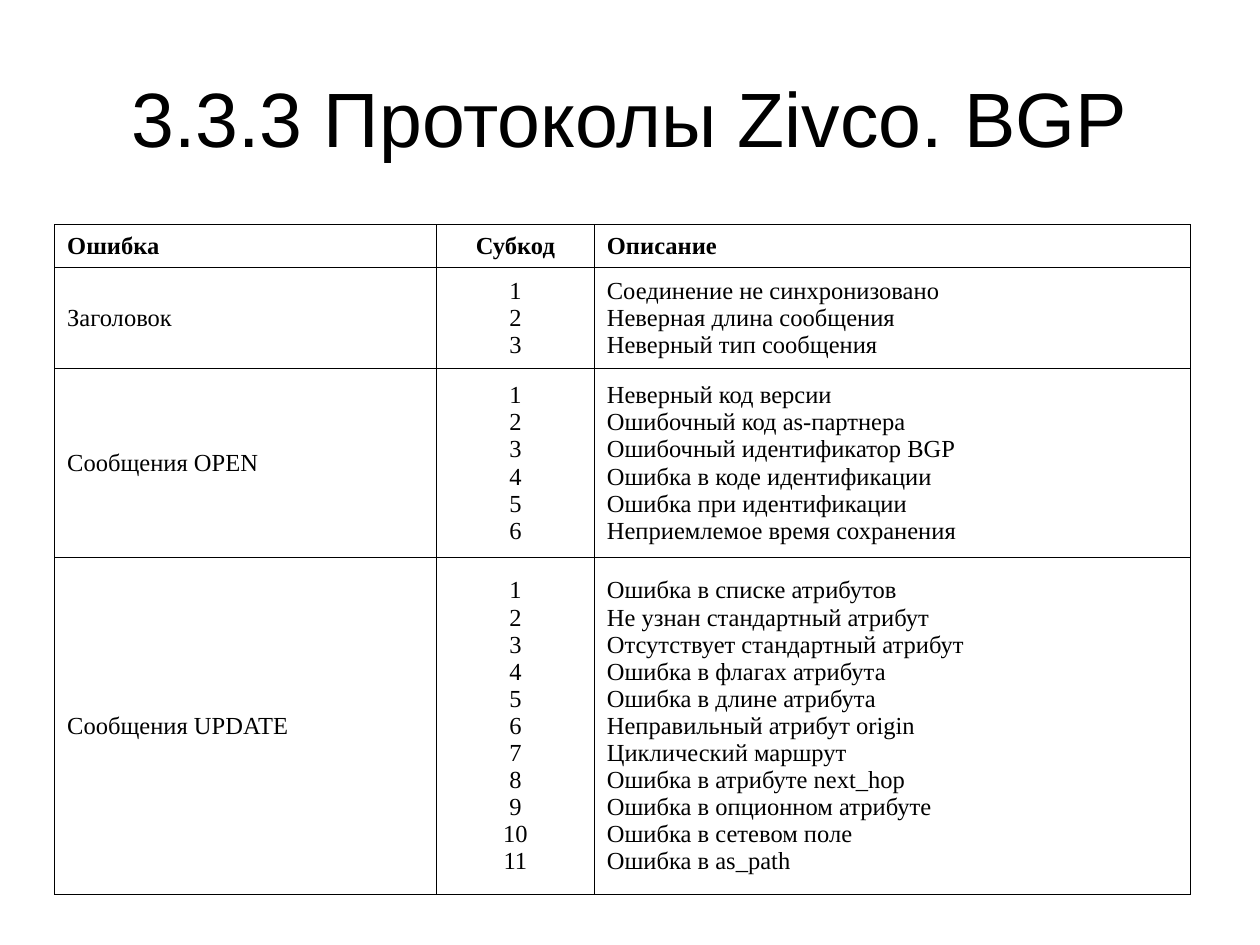
from dataclasses import dataclass

from lxml.etree import SubElement
from pptx import Presentation
from pptx.dml.color import RGBColor
from pptx.enum.text import MSO_ANCHOR as Anchor, PP_ALIGN as Align
from pptx.oxml.ns import qn
from pptx.util import Cm, Pt

INK = "000000"
HANGING = Cm(0.95)
COL_WIDTHS = (7.7, 3.18, 12.01)
COL_ALIGNS = (Align.LEFT, Align.CENTER, Align.LEFT)
TITLE_FONT = {"name": "Arial", "size": Pt(44), "bold": False}
BODY_FONT = {"name": "Times New Roman", "size": Pt(14), "bold": False}
HEAD_FONT = BODY_FONT | {"bold": True}


@dataclass
class ErrorGroup:
    name: str
    height: float
    descriptions: list[str]

    def columns(self) -> list[list[str]]:
        subcodes = [str(n) for n in range(1, len(self.descriptions) + 1)]
        return [[self.name], subcodes, self.descriptions]


HEADINGS = [["Ошибка"], ["Субкод"], ["Описание"]]
HEAD_HEIGHT = 0.86
GROUPS = [
    ErrorGroup("Заголовок", 2.04, [
        "Соединение не синхронизовано",
        "Неверная длина сообщения",
        "Неверный тип сообщения",
    ]),
    ErrorGroup("Сообщения OPEN", 3.81, [
        "Неверный код версии",
        "Ошибочный код as-партнера",
        "Ошибочный идентификатор BGP",
        "Ошибка в коде идентификации",
        "Ошибка при идентификации",
        "Неприемлемое время сохранения",
    ]),
    ErrorGroup("Сообщения UPDATE", 6.79, [
        "Ошибка в списке атрибутов",
        "Не узнан стандартный атрибут",
        "Отсутствует стандартный атрибут",
        "Ошибка в флагах атрибута",
        "Ошибка в длине атрибута",
        "Неправильный атрибут origin",
        "Циклический маршрут",
        "Ошибка в атрибуте next_hop",
        "Ошибка в опционном атрибуте",
        "Ошибка в сетевом поле",
        "Ошибка в as_path",
    ]),
]


def rgb(value: str) -> RGBColor:
    return RGBColor.from_string(value)


def write_lines(tf, lines: list[str], align, font: dict) -> None:
    """One paragraph for each line."""
    for i, line in enumerate(lines):
        p = tf.paragraphs[0] if i == 0 else tf.add_paragraph()
        p.alignment = align
        r = p.add_run()
        r.text = line
        for key, value in font.items():
            setattr(r.font, key, value)
        r.font.color.rgb = rgb(INK)


def add_borders(cell, color: str, width: float) -> None:
    tc_pr = cell._tc.get_or_add_tcPr()
    for side in ("lnL", "lnR", "lnT", "lnB"):
        ln = SubElement(tc_pr, qn(f"a:{side}"), w=str(Pt(width)))
        fill = SubElement(ln, qn("a:solidFill"))
        SubElement(fill, qn("a:srgbClr"), val=color)


def fill_row(table, row: int, height: float, columns: list[list[str]], font: dict) -> None:
    table.rows[row].height = Cm(height)
    for col, (lines, align) in enumerate(zip(columns, COL_ALIGNS)):
        cell = table.cell(row, col)
        cell.vertical_anchor = Anchor.MIDDLE
        add_borders(cell, INK, 0.34)
        cell.fill.background()
        write_lines(cell.text_frame, lines, align, font)
        # Headings and group names have a hanging indent
        if row == 0 or col == 0:
            p_pr = cell.text_frame.paragraphs[0]._p.get_or_add_pPr()
            p_pr.set("marL", str(HANGING))
            p_pr.set("indent", str(-HANGING))


def main() -> None:
    prs = Presentation()
    prs.slide_width, prs.slide_height = Cm(25.4), Cm(19.05)
    s = prs.slides.add_slide(prs.slide_layouts[6])

    # Title
    sp = s.shapes.add_textbox(Cm(1.27), Cm(0.76), Cm(22.86), Cm(3.18))
    tf = sp.text_frame
    tf.word_wrap = True
    tf.vertical_anchor = Anchor.MIDDLE
    write_lines(tf, ["3.3.3 Протоколы Zivco. BGP"], Align.CENTER, TITLE_FONT)

    # Error table
    height = HEAD_HEIGHT + sum(g.height for g in GROUPS)
    table = s.shapes.add_table(len(GROUPS) + 1, len(COL_WIDTHS), Cm(1.1), Cm(4.53),
                               Cm(sum(COL_WIDTHS)), Cm(height)).table
    table.first_row = table.horz_banding = False
    for column, width in zip(table.columns, COL_WIDTHS):
        column.width = Cm(width)
    fill_row(table, 0, HEAD_HEIGHT, HEADINGS, HEAD_FONT)
    for row, group in enumerate(GROUPS, 1):
        fill_row(table, row, group.height, group.columns(), BODY_FONT)

    prs.save("out.pptx")


if __name__ == "__main__":
    main()
